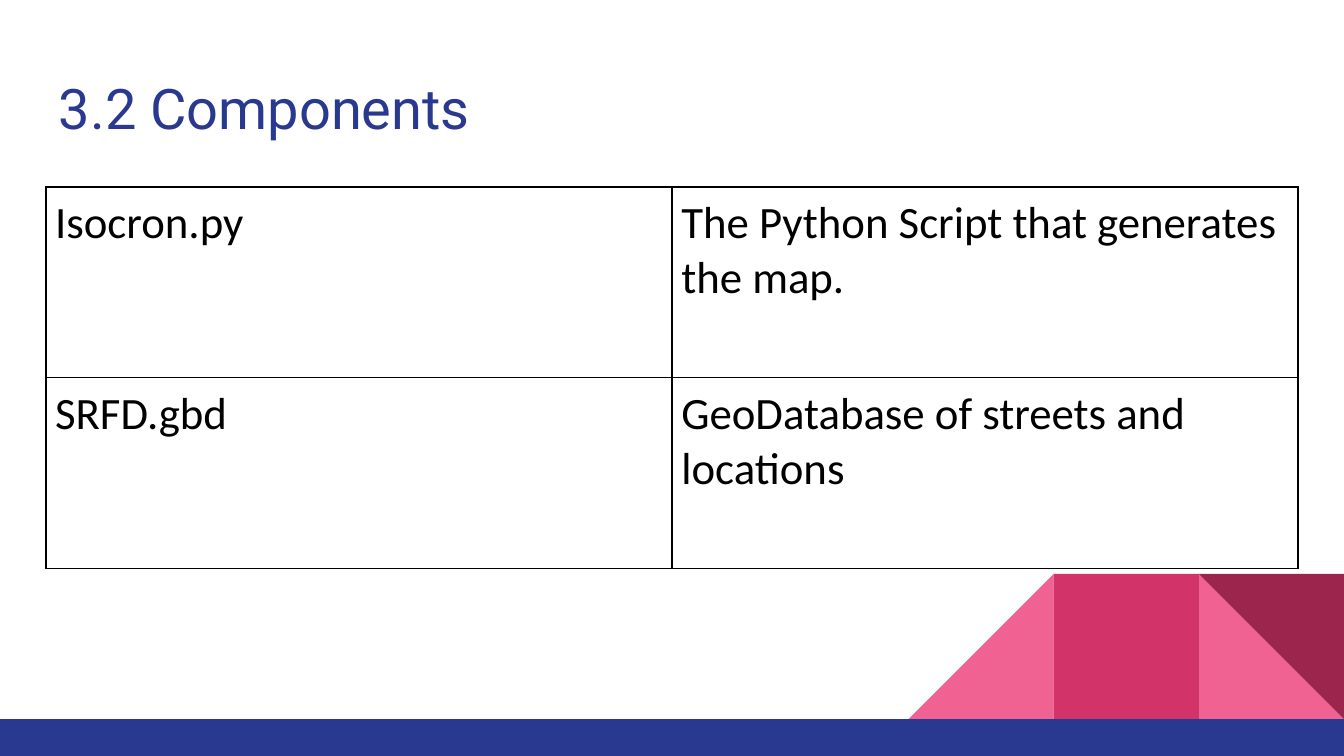
from typing import NamedTuple

from lxml.etree import SubElement
from pptx import Presentation
from pptx.dml.color import RGBColor
from pptx.enum.shapes import MSO_SHAPE
from pptx.oxml.ns import qn
from pptx.util import Inches, Pt

NAVY = RGBColor(0x2A, 0x39, 0x90)
PINK = RGBColor(0xF0, 0x62, 0x92)
ROSE = RGBColor(0xD2, 0x33, 0x69)
WINE = RGBColor(0x9C, 0x25, 0x4D)
BLACK = RGBColor(0, 0, 0)

SLIDE_W = 10
SLIDE_H = SLIDE_W * 9 / 16
BAR_TOP = 5.35
TILE = 1.08
MARGIN = 0.34
CONTENT_W = SLIDE_W - 2 * MARGIN
ROW_H = 1.42

TITLE_FONT = {"name": "Roboto", "size": Pt(30)}
CELL_FONT = {"name": "Calibri", "size": Pt(24)}


class Tile(NamedTuple):
    steps_from_right: int
    outline: MSO_SHAPE
    color: RGBColor
    rotation: int = 0


class Component(NamedTuple):
    file_name: str
    purpose: str


TILES = [
    Tile(1, MSO_SHAPE.RIGHT_TRIANGLE, PINK),
    Tile(3, MSO_SHAPE.RIGHT_TRIANGLE, PINK, 270),
    Tile(2, MSO_SHAPE.RECTANGLE, ROSE),
    Tile(1, MSO_SHAPE.RIGHT_TRIANGLE, WINE, 180),
]
COMPONENTS = [
    Component("Isocron.py", "The Python Script that generates the map."),
    Component("SRFD.gbd", "GeoDatabase of streets and locations"),
]


def set_margins(target, inset: float) -> None:
    for side in ("left", "top", "right", "bottom"):
        setattr(target, f"margin_{side}", Inches(inset))


def write(frame, text: str, font_values: dict, color: RGBColor) -> None:
    run = frame.paragraphs[0].add_run()
    run.text = text
    for name, value in font_values.items():
        setattr(run.font, name, value)
    run.font.color.rgb = color


def add_block(slide, outline: MSO_SHAPE, left: float, top: float,
              width: float, height: float, color: RGBColor, rotation: int = 0) -> None:
    block = slide.shapes.add_shape(
        outline, Inches(left), Inches(top), Inches(width), Inches(height))
    block.shadow.inherit = False
    block.fill.solid()
    block.fill.fore_color.rgb = color
    block.line.fill.background()
    block.rotation = rotation


def add_borders(cell) -> None:
    properties = cell._tc.get_or_add_tcPr()
    for tag in ("a:lnL", "a:lnR", "a:lnT", "a:lnB"):
        border = SubElement(properties, qn(tag), w=str(Pt(1)))
        fill = SubElement(border, qn("a:solidFill"))
        SubElement(fill, qn("a:srgbClr"), val=str(BLACK))


def add_title(slide, text: str) -> None:
    title = slide.shapes.add_textbox(
        Inches(MARGIN), Inches(0.45), Inches(CONTENT_W), Inches(0.66)).text_frame
    title.word_wrap = True
    set_margins(title, 0.1)
    write(title, text, TITLE_FONT, NAVY)


def add_component_table(slide, components: list[Component]) -> None:
    frame = slide.shapes.add_table(
        len(components), 2, Inches(MARGIN), Inches(1.39),
        Inches(CONTENT_W), Inches(ROW_H * len(components)))
    table = frame.table
    table.first_row = table.horz_banding = False
    for row, component in zip(table.rows, components):
        row.height = Inches(ROW_H)
        for cell, text in zip(row.cells, component):
            set_margins(cell, 0.07)
            add_borders(cell)
            cell.fill.background()
            write(cell.text_frame, text, CELL_FONT, BLACK)


def main() -> None:
    deck = Presentation()
    deck.slide_width, deck.slide_height = Inches(SLIDE_W), Inches(SLIDE_H)
    slide = deck.slides.add_slide(deck.slide_layouts[6])
    for tile in TILES:
        add_block(slide, tile.outline, SLIDE_W - tile.steps_from_right * TILE,
                  BAR_TOP - TILE, TILE, TILE, tile.color, tile.rotation)
    add_block(slide, MSO_SHAPE.RECTANGLE, 0, BAR_TOP, SLIDE_W, SLIDE_H - BAR_TOP, NAVY)
    add_title(slide, "3.2 Components")
    add_component_table(slide, COMPONENTS)
    deck.save("out.pptx")


if __name__ == "__main__":
    main()
